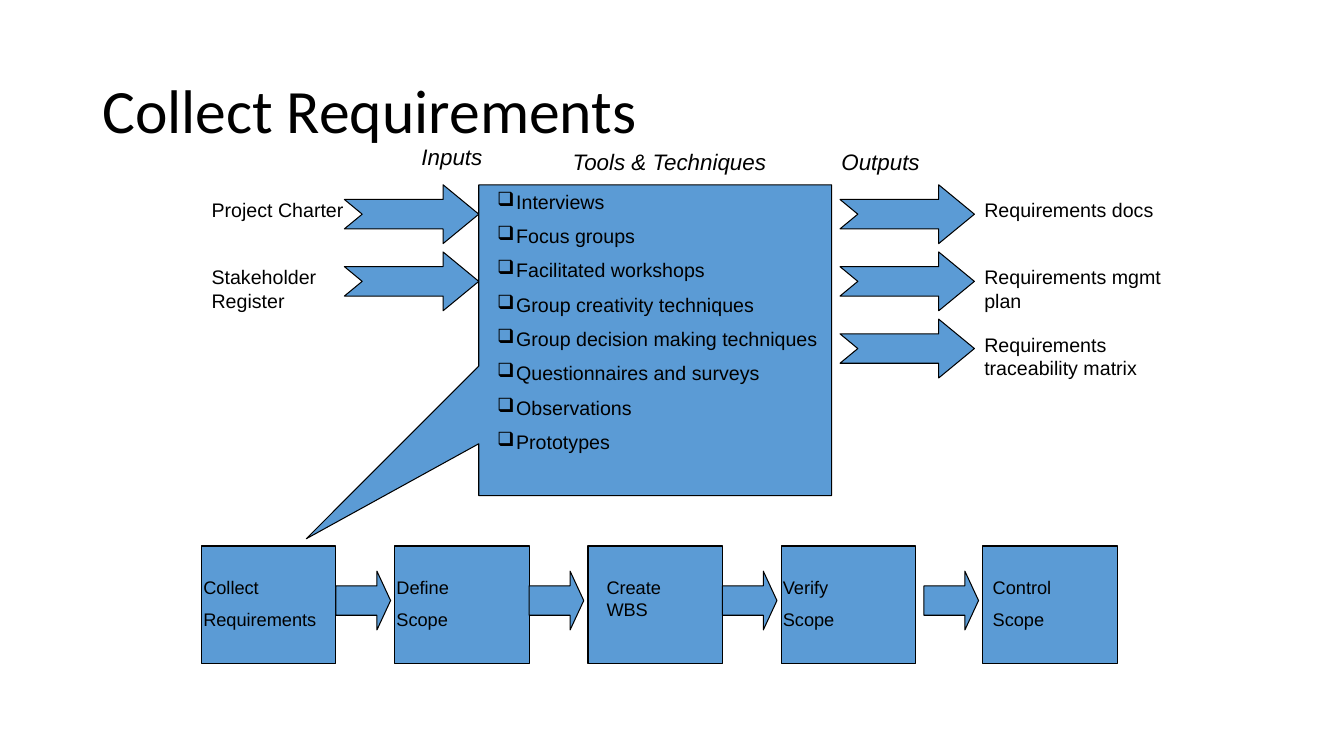
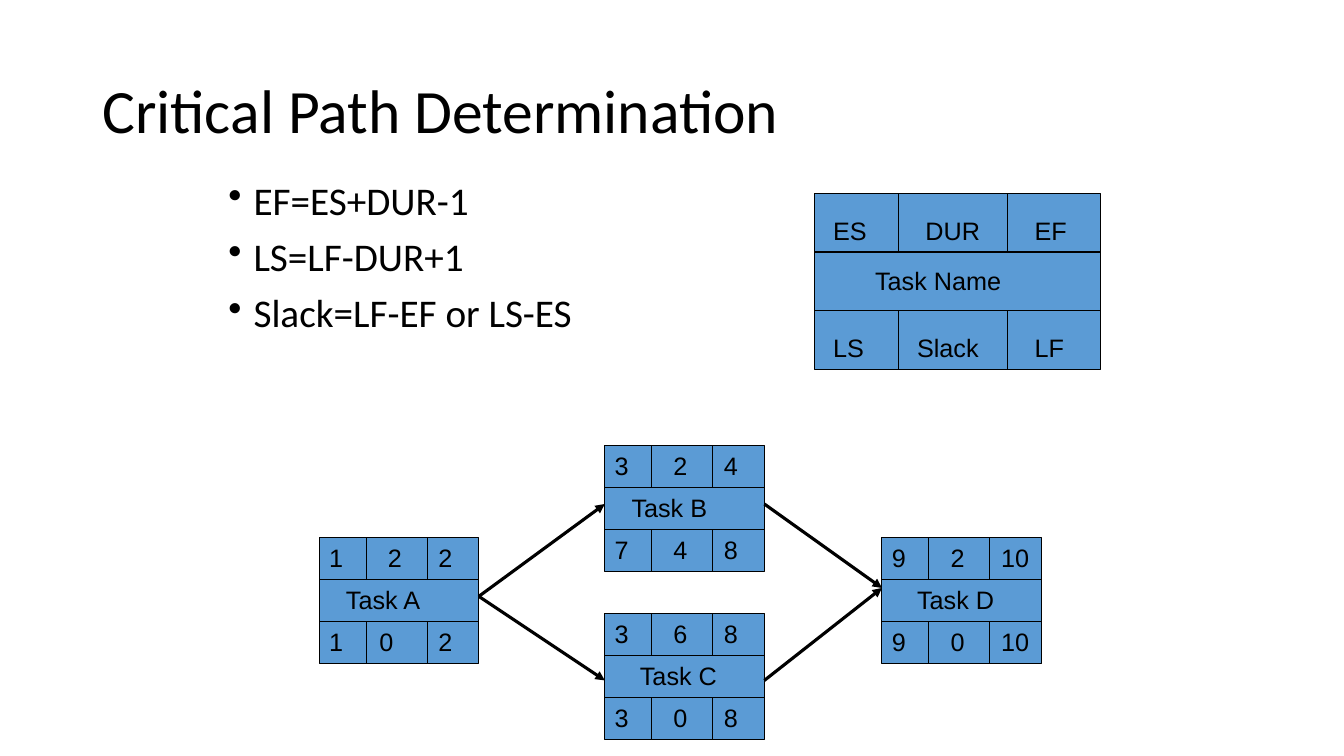
from lxml import etree
from pptx import Presentation
from pptx.dml.color import RGBColor
from pptx.enum.shapes import MSO_CONNECTOR, MSO_SHAPE
from pptx.enum.text import MSO_ANCHOR, PP_ALIGN
from pptx.oxml.ns import qn
from pptx.util import Pt

RECT = MSO_SHAPE.RECTANGLE
CALLOUT = MSO_SHAPE.RECTANGULAR_CALLOUT
ARROW = MSO_SHAPE.RIGHT_ARROW
NOTCHED = MSO_SHAPE.NOTCHED_RIGHT_ARROW
LINE = MSO_CONNECTOR.STRAIGHT
LEFT = PP_ALIGN.LEFT
TOP, MIDDLE = MSO_ANCHOR.TOP, MSO_ANCHOR.MIDDLE

BLUE, BLACK = "5B9BD5", "000000"
HEAD, BODY = "Calibri", "Arial"
SPLITS = (0.294, 0.676)


def color(code):
    return RGBColor.from_string(code)


def write(frame, text, size=14, font=BODY, italic=False, anchor=TOP,
          bullet=None, indent=0, lead=None, gap=None, pad=(7.2, 3.6)):
    """Fill a text frame, one paragraph a line; gap parts the paragraphs."""
    frame.word_wrap = True
    frame.vertical_anchor = anchor
    frame.margin_left = frame.margin_right = Pt(pad[0])
    frame.margin_top = frame.margin_bottom = Pt(pad[1])
    for i, line in enumerate(text.split("\n")):
        para = frame.paragraphs[0] if i == 0 else frame.add_paragraph()
        para.alignment = LEFT
        para.space_before = Pt(0 if i == 0 else gap or 0.55 * size)
        if lead:
            para.line_spacing = lead
        if bullet:
            props = para._p.get_or_add_pPr()
            props.set("marL", str(Pt(indent)))
            props.set("indent", str(-Pt(indent)))
            etree.SubElement(props, qn("a:buChar")).set("char", bullet)
        run = para.add_run()
        run.text = line
        run.font.size, run.font.name = Pt(size), font
        run.font.italic = italic
        run.font.color.rgb = color(BLACK)


def label(slide, box, text, **style):
    shape = slide.shapes.add_textbox(*map(Pt, box))
    write(shape.text_frame, text, **style)


def block(slide, kind, box, adjust=()):
    shape = slide.shapes.add_shape(kind, *map(Pt, box))
    shape.shadow.inherit = False
    shape.fill.solid()
    shape.fill.fore_color.rgb = color(BLUE)
    shape.line.color.rgb = color(BLACK)
    shape.line.width = Pt(0.75)
    for i, value in enumerate(adjust):
        shape.adjustments[i] = value
    return shape


def rule(slide, start, end, width=0.75, arrow=False):
    line = slide.shapes.add_connector(LINE, *map(Pt, start + end))
    line.line.color.rgb = color(BLACK)
    line.line.width = Pt(width)
    if arrow:
        tip = etree.SubElement(line.line._get_or_add_ln(), qn("a:tailEnd"))
        tip.set("type", "triangle")
    etree.SubElement(line._element.spPr, qn("a:effectLst"))


def page(deck, title):
    slide = deck.slides.add_slide(deck.slide_layouts[6])
    label(slide, (66, 29, 828, 104), title, size=44, font=HEAD,
          anchor=MIDDLE, lead=0.9)
    return slide


def flow(slide, x, y, names, name_dx, arrow_dx, width):
    """Stack arrows, each with its label beside it."""
    for i, name in enumerate(names):
        top = y + 48 * i
        block(slide, NOTCHED, (x + arrow_dx, top, 96, 42), (0.5, 0.607))
        label(slide, (x + name_dx, top + 6, width, 42), name)


def tools(slide, x, y, items):
    panel = block(slide, CALLOUT, (x, y, 252, 222), (-0.989, 0.639))
    write(panel.text_frame, "\n".join(items), bullet="❑", indent=13.5,
          pad=(13.2, 3.6))
    panel.text_frame.margin_right = 0


def chain(slide, y, steps):
    """Draw process boxes, with an arrow into each but the first."""
    for i, (x, inset, text) in enumerate(steps):
        box = block(slide, RECT, (x, y, 96, 84))
        write(box.text_frame, text, size=13, pad=(inset, 21.6))
        if i:
            block(slide, ARROW, (x - 42, y + 18, 39, 42), (0.5, 0.25))


def card(slide, box, rows, drop=0, wide=36, span=84):
    """Draw a task card; rows hold (offset, text) pairs."""
    x, y, w, h = box
    step = h / 3
    block(slide, RECT, box)
    for i in (1, 2):
        rule(slide, (x, y + i * step), (x + w, y + i * step))
    for top in (y, y + 2 * step):
        for part in SPLITS:
            rule(slide, (x + part * w, top), (x + part * w, top + step))
    for i, row in enumerate(rows):
        shift = drop / 2 if i == 1 else drop
        for dx, text in row:
            label(slide, (x + dx, y + i * step + shift,
                          span if i == 1 else wide, 29), text, size=18)


def collect(deck):
    slide = page(deck, "Collect Requirements")
    for x, y, w, text in ((294, 99, 114, "Inputs"),
                          (402, 102, 192, "Tools & Techniques"),
                          (594, 102, 114, "Outputs")):
        label(slide, (x, y, w, 27), text, size=16, italic=True)
    flow(slide, 144, 132, ("Project Charter", "Stakeholder Register"),
         name_dx=0, arrow_dx=102, width=132)
    tools(slide, 342, 132, (
        "Interviews", "Focus groups", "Facilitated workshops",
        "Group creativity techniques", "Group decision making techniques",
        "Questionnaires and surveys", "Observations", "Prototypes"))
    flow(slide, 600, 132, ("Requirements docs", "Requirements mgmt plan",
                           "Requirements traceability matrix"),
         name_dx=96, arrow_dx=0, width=144)
    chain(slide, 390, (
        (144, 1.2, "Collect\nRequirements"), (282, 1.2, "Define\nScope"),
        (420, 13.2, "Create WBS"), (558, 1.2, "Verify\nScope"),
        (702, 7.2, "Control\nScope")))


def critical(deck):
    slide = page(deck, "Critical Path Determination")
    label(slide, (156, 126, 384, 144),
          "EF=ES+DUR-1\nLS=LF-DUR+1\nSlack=LF-EF or LS-ES",
          size=28, font=HEAD, bullet="•", indent=18, lead=0.9, gap=10)
    card(slide, (582, 138, 204, 126),
         (((6, "ES"), (72, "DUR"), (150, "EF")), ((36, "Task Name"),),
          ((6, "LS"), (66, "Slack"), (150, "LF"))),
         drop=12, wide=66, span=126)
    tasks = (
        (228, 384, "Task A", 12, "1 2 2", "1 0 2", 36),
        (432, 318, "Task B", 12, "3 2 4", "7 4 8", 42),
        (432, 438, "Task C", 18, "3 6 8", "3 0 8", 42),
        (630, 384, "Task D", 18, "9 2 10", "9 0 10", 42))
    for x, y, name, dx, early, late, mid in tasks:
        card(slide, (x, y, 114, 90),
             (zip((0, 42, 78), early.split()), ((dx, name),),
              zip((0, mid, 78), late.split())))
    for start, end in (((342, 426), (432, 360)), ((342, 426), (432, 486)),
                       ((546, 360), (630, 420)), ((546, 486), (630, 420))):
        rule(slide, start, end, width=2.25, arrow=True)


def main():
    deck = Presentation()
    deck.slide_width, deck.slide_height = Pt(960), Pt(540)
    collect(deck)
    critical(deck)
    deck.save("out.pptx")


if __name__ == "__main__":
    main()
